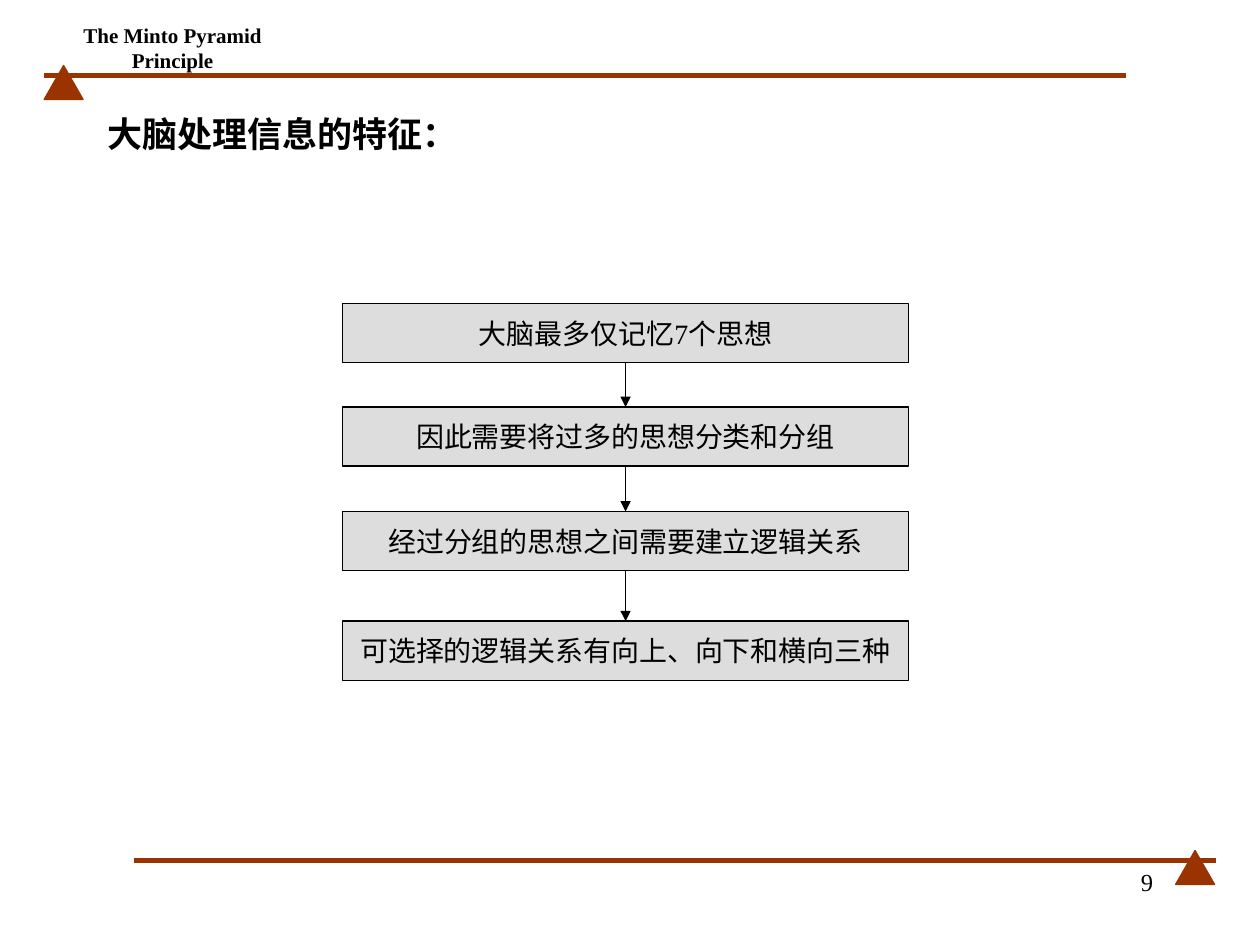
from dataclasses import dataclass
from itertools import pairwise

from lxml.etree import SubElement
from pptx import Presentation
from pptx.dml.color import RGBColor
from pptx.enum.shapes import MSO_CONNECTOR as Conn, MSO_SHAPE as Shape
from pptx.enum.text import MSO_ANCHOR as Anchor, PP_ALIGN as Align
from pptx.oxml.ns import qn
from pptx.util import Inches, Pt


@dataclass(frozen=True)
class Theme:
    font: str = "Times New Roman"
    ink: RGBColor = RGBColor(0x00, 0x00, 0x00)
    accent: RGBColor = RGBColor(0x99, 0x33, 0x00)
    box: RGBColor = RGBColor(0xDD, 0xDD, 0xDD)
    title: int = 20
    body: int = 16
    number: int = 14
    header: int = 12
    thin: float = 0.75
    thick: float = 3


THEME = Theme()
BOX_LEFT, BOX_WIDTH, BOX_HEIGHT = 2.72, 4.49, 0.47
STEPS = [
    (2.41, "大脑最多仅记忆7个思想"),
    (3.23, "因此需要将过多的思想分类和分组"),
    (4.06, "经过分组的思想之间需要建立逻辑关系"),
    (4.93, "可选择的逻辑关系有向上、向下和横向三种"),
]


def inches(*lengths):
    return [Inches(length) for length in lengths]


def write(shape, text, size, align=Align.LEFT, bold=False, anchor=Anchor.MIDDLE, wrap=True):
    tf = shape.text_frame
    for name, value in {"word_wrap": wrap, "vertical_anchor": anchor}.items():
        setattr(tf, name, value)
    p = tf.paragraphs[0]
    p.alignment = align
    r = p.add_run()
    r.text = text
    for name, value in {"name": THEME.font, "size": Pt(size), "bold": bold}.items():
        setattr(r.font, name, value)
    r.font.color.rgb = THEME.ink


def add_text(s, at, text, size, **layout):
    write(s.shapes.add_textbox(*inches(*at)), text, size, **layout)


def add_filled(s, kind, at, fill, line):
    sp = s.shapes.add_shape(kind, *inches(*at))
    sp.shadow.inherit = False
    sp.fill.solid()
    sp.fill.fore_color.rgb = fill
    sp.line.color.rgb = line
    sp.line.width = Pt(THEME.thin)
    return sp


def add_line(s, start, end, color, width):
    line = s.shapes.add_connector(Conn.STRAIGHT, *inches(*start, *end))
    line.line.color.rgb = color
    line.line.width = Pt(width)
    SubElement(line._element.spPr, qn("a:effectLst"))
    return line


def add_rule(s, left, top, triangle_left):
    """Draw a thick rule with a triangle sitting across one of its ends."""
    add_line(s, (left, top), (left + 8.59, top), THEME.accent, THEME.thick)
    add_filled(s, Shape.ISOSCELES_TRIANGLE, (triangle_left, top - 0.08, 0.31, 0.27),
               THEME.accent, THEME.accent)


def add_step(s, top, text):
    box = add_filled(s, Shape.RECTANGLE, (BOX_LEFT, top, BOX_WIDTH, BOX_HEIGHT),
                     THEME.box, THEME.ink)
    write(box, text, THEME.body, align=Align.CENTER, wrap=False)
    return box


def add_arrow(s, upper, lower):
    arrow = add_line(s, (0, 0), (0, 0), THEME.ink, THEME.thin)
    arrow.begin_connect(upper, 2)
    arrow.end_connect(lower, 0)
    SubElement(arrow.line._get_or_add_ln(), qn("a:tailEnd"), type="triangle")


def set_title(s, at, text):
    title = s.shapes.title
    for name, value in zip(("left", "top", "width", "height"), inches(*at)):
        setattr(title, name, value)
    write(title, text, THEME.title, bold=True)


def main():
    prs = Presentation()
    prs.slide_width, prs.slide_height = inches(10, 7.5)
    s = prs.slides.add_slide(prs.slide_layouts[5])

    add_rule(s, 0.35, 0.6, triangle_left=0.35)
    add_rule(s, 1.06, 6.83, triangle_left=9.33)
    add_text(s, (0.23, 0.24, 2.28, 0.28), "The Minto Pyramid Principle", THEME.header,
             align=Align.CENTER, bold=True, wrap=False)
    add_text(s, (7.17, 6.83, 2.08, 0.5), "9", THEME.number,
             align=Align.RIGHT, anchor=Anchor.TOP)
    set_title(s, (0.75, 0.74, 8.74, 0.64), "大脑处理信息的特征：")

    boxes = [add_step(s, top, text) for top, text in STEPS]
    for upper, lower in pairwise(boxes):
        add_arrow(s, upper, lower)

    prs.save("out.pptx")


if __name__ == "__main__":
    main()
